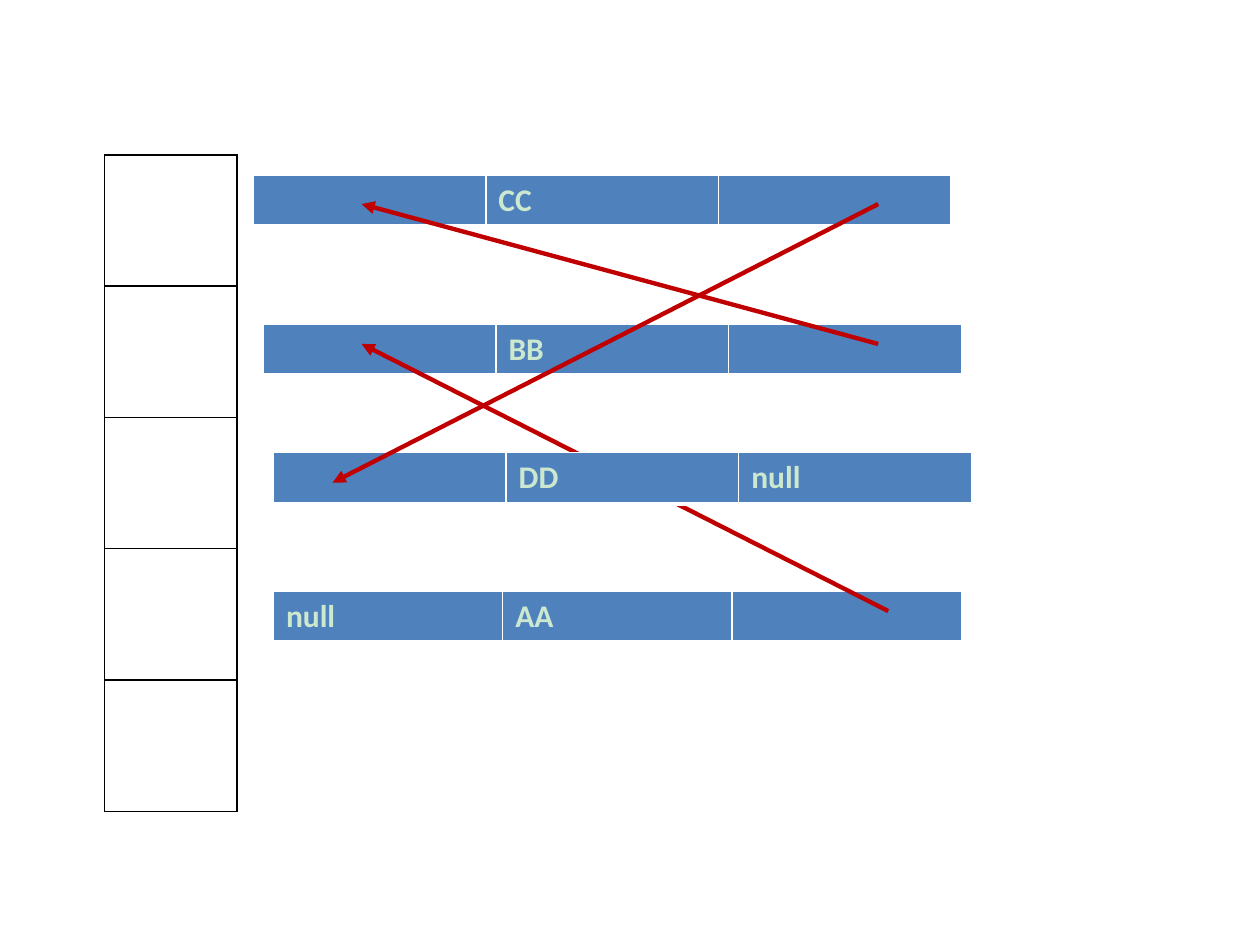
import pptx
import pptx.dml.color
import pptx.enum.shapes
import pptx.oxml.ns
import pptx.util
from lxml import etree
from pptx.util import Inches

WHITE = "FFFFFF"
BLACK = "000000"
BLUE = "4F81BD"
PALE_GREEN = "CCE8CF"
RED = "C00000"


def color(hex_value):
    return pptx.dml.color.RGBColor.from_string(hex_value)


def add_element(parent, tag, **attributes):
    return etree.SubElement(parent, pptx.oxml.ns.qn(tag), attributes)


def set_borders(cell, border_color, bottom_width=1):
    """Draw all four cell borders at 1 pt, except for the given bottom width."""
    properties = cell._tc.get_or_add_tcPr()
    for side in "LRTB":
        width = pptx.util.Pt(bottom_width if side == "B" else 1)
        line = add_element(properties, f"a:ln{side}", w=str(width))
        fill = add_element(line, "a:solidFill")
        add_element(fill, "a:srgbClr", val=border_color)


def add_plain_table(slide, rows, columns, left, top, width, height):
    frame = slide.shapes.add_table(
        rows, columns, Inches(left), Inches(top), Inches(width), Inches(height))
    frame.table.first_row = False
    frame.table.horz_banding = False
    return frame.table


def add_bucket_array(slide):
    table = add_plain_table(slide, 5, 1, 0.83, 1.23, 1.05, 5.21)
    for cell in table.iter_cells():
        set_borders(cell, BLACK)
        cell.fill.background()


def add_node(slide, left, top, width, labels):
    """Add a linked-list node: previous link, value, next link."""
    table = add_plain_table(slide, 1, len(labels), left, top, width, 0.41)
    for cell, label in zip(table.iter_cells(), labels):
        set_borders(cell, WHITE, bottom_width=3)
        cell.fill.solid()
        cell.fill.fore_color.rgb = color(BLUE)
        if label:
            run = cell.text_frame.paragraphs[0].add_run()
            run.text = label
            run.font.name = "Calibri"
            run.font.size = pptx.util.Pt(18)
            run.font.bold = True
            run.font.color.rgb = color(PALE_GREEN)


def add_arrow(slide, start, end):
    connector = slide.shapes.add_connector(
        pptx.enum.shapes.MSO_CONNECTOR.STRAIGHT,
        *(Inches(value) for value in (*start, *end)))
    connector.line.color.rgb = color(RED)
    connector.line.width = pptx.util.Pt(2.5)
    add_element(connector.line._get_or_add_ln(), "a:tailEnd", type="triangle")
    add_element(connector._element.spPr, "a:effectLst")


def main():
    presentation = pptx.Presentation()
    presentation.slide_width = Inches(10)
    presentation.slide_height = Inches(7.5)
    slide = presentation.slides.add_slide(presentation.slide_layouts[6])
    slide.background.fill.solid()
    slide.background.fill.fore_color.rgb = color(WHITE)

    add_bucket_array(slide)
    add_node(slide, 2.17, 4.69, 5.46, ["null", "AA", ""])
    add_node(slide, 2.09, 2.57, 5.54, ["", "BB", ""])
    add_arrow(slide, (7.05, 4.85), (2.87, 2.73))
    add_node(slide, 2.01, 1.39, 5.54, ["", "CC", ""])
    add_arrow(slide, (6.97, 2.73), (2.87, 1.62))
    add_node(slide, 2.17, 3.59, 5.54, ["", "DD", "null"])
    add_arrow(slide, (6.97, 1.62), (2.64, 3.83))

    presentation.save("out.pptx")


if __name__ == "__main__":
    main()
